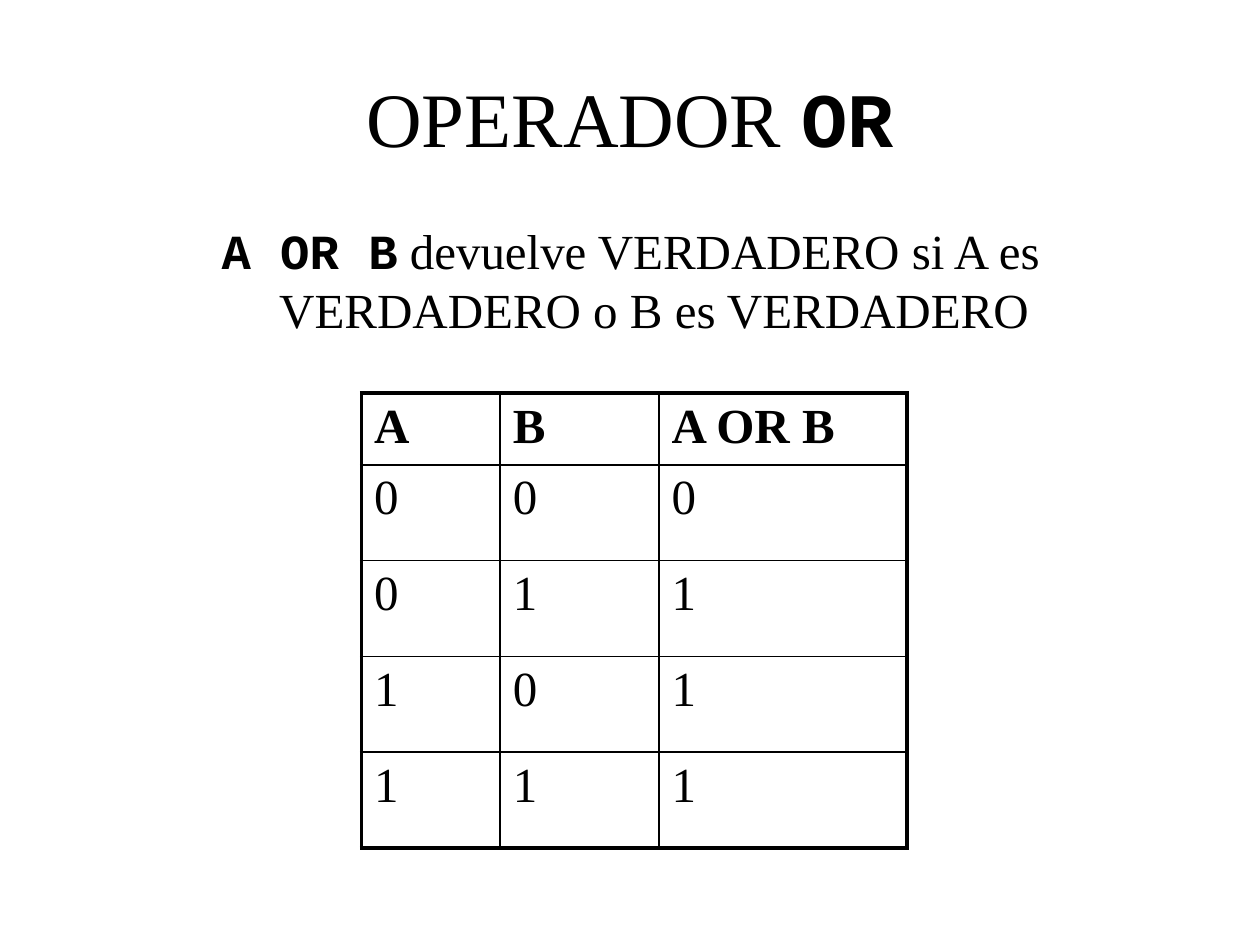
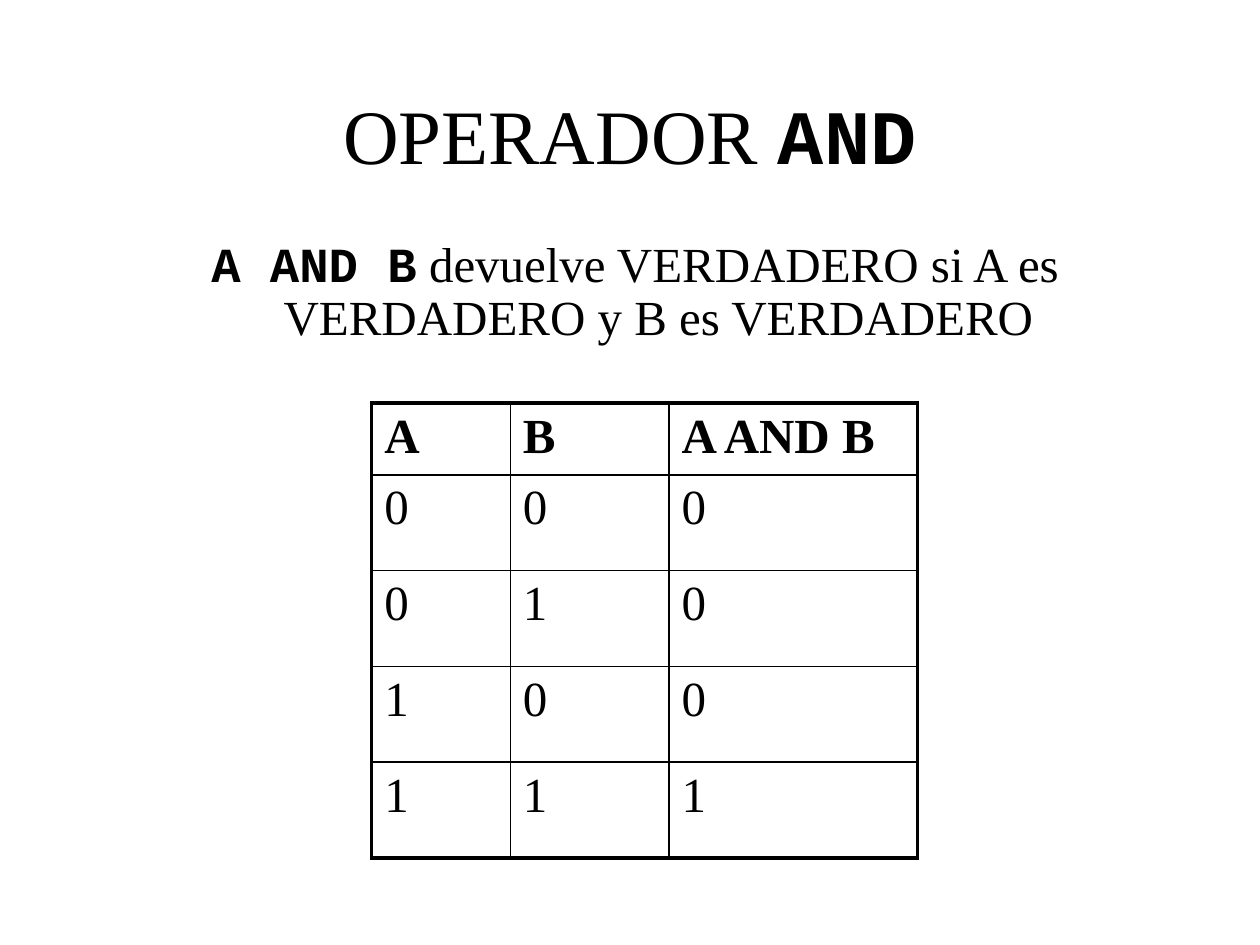
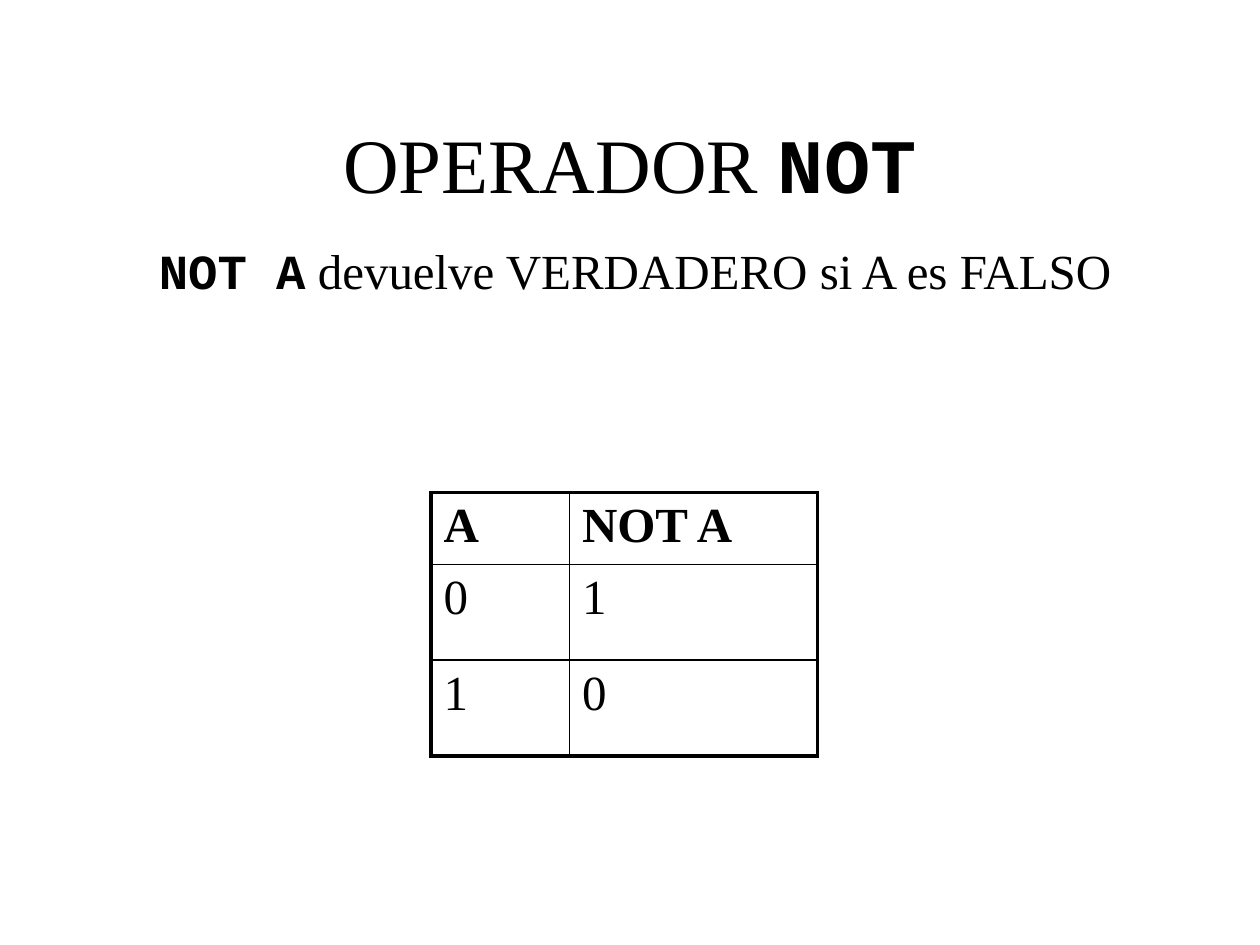
import pptx
import pptx.util
import pptx.dml.color
import pptx.enum.text
import lxml.etree
import pptx.oxml.ns

Inches, Pt = pptx.util.Inches, pptx.util.Pt
BLACK = pptx.dml.color.RGBColor(0, 0, 0)
WHITE = pptx.dml.color.RGBColor(255, 255, 255)
SERIF, MONO = "Times New Roman", "Courier New"
BIG, BASE = 44, 28
THICK, THIN = 2.21, 0.96
COLS = {"A": 1.1, "B": 1.26}
LAST = 1.97
HEAD, ROW = 0.57, 0.76

# One entry per operator: name, title top, rule box, line spacing, rule, table
SLIDES = [
    ("OR", 0.3, (0.43, 1.7, 9.14, 1.19), 1.0,
     ("A OR B", " devuelve VERDADERO si A es VERDADERO o B es VERDADERO"),
     (2.87, 3.12), ["A", "B", "A OR B"], ["000", "011", "101", "111"]),
    ("AND", 0.44, (0.43, 1.86, 9.21, 0.87), 0.9,
     ("A AND B", " devuelve VERDADERO si A es VERDADERO y B es VERDADERO"),
     (2.95, 3.2), ["A", "B", "A AND B"], ["000", "010", "100", "111"]),
    ("NOT", 0.67, (0.98, 1.86, 8.11, 1.26), 1.0,
     ("NOT A", " devuelve VERDADERO si A es FALSO"),
     (3.42, 3.91), ["A", "NOT A"], ["01", "10"]),
]


def write(para, parts, size):
    """Fill a paragraph with (text, font, bold) runs."""
    for text, face, bold in parts:
        run = para.add_run()
        run.text = text
        run.font.name, run.font.size, run.font.bold = face, Pt(size), bold
        run.font.color.rgb = BLACK


def edge(cell, sides):
    """Draw the left, right, top and bottom borders, thick where true."""
    props = cell._tc.get_or_add_tcPr()
    for i, (side, thick) in enumerate(zip("LRTB", sides)):
        line = lxml.etree.Element(pptx.oxml.ns.qn("a:ln" + side))
        line.set("w", str(Pt(THICK if thick else THIN)))
        fill = lxml.etree.SubElement(line, pptx.oxml.ns.qn("a:solidFill"))
        tint = lxml.etree.SubElement(fill, pptx.oxml.ns.qn("a:srgbClr"))
        tint.set("val", str(BLACK))
        props.insert(i, line)


deck = pptx.Presentation()
deck.slide_width, deck.slide_height = Inches(10), Inches(7.5)

for name, top, box, gap, rule, spot, heads, rows in SLIDES:
    slide = deck.slides.add_slide(deck.slide_layouts[5])
    slide.background.fill.solid()
    slide.background.fill.fore_color.rgb = WHITE

    # Title
    title = slide.shapes.title
    title.left, title.top = Inches(0.75), Inches(top)
    title.width, title.height = Inches(8.5), Inches(1.25)
    frame = title.text_frame
    frame.auto_size = pptx.enum.text.MSO_AUTO_SIZE.NONE
    frame.vertical_anchor = pptx.enum.text.MSO_ANCHOR.MIDDLE
    para = frame.paragraphs[0]
    para.alignment = pptx.enum.text.PP_ALIGN.CENTER
    write(para, [("OPERADOR ", SERIF, False), (name, MONO, True)], BIG)

    # Rule with a hanging indent
    frame = slide.shapes.add_textbox(*map(Inches, box)).text_frame
    frame.word_wrap = True
    para = frame.paragraphs[0]
    para.alignment = pptx.enum.text.PP_ALIGN.CENTER
    para.line_spacing = gap
    props = para._p.get_or_add_pPr()
    props.set("marL", str(Inches(0.38)))
    props.set("indent", str(Inches(-0.37)))
    write(para, [(rule[0], MONO, True), (rule[1], SERIF, False)], BASE)

    # Truth table
    wide = [COLS.get(head, LAST) for head in heads]
    tall = [HEAD] + [ROW] * len(rows)
    size = sum(wide), sum(tall)
    table = slide.shapes.add_table(
        len(tall), len(wide), *map(Inches, spot + size)).table
    table.first_row = table.horz_banding = False
    for col, width in zip(table.columns, wide):
        col.width = Inches(width)
    for r, line in enumerate([heads] + rows):
        table.rows[r].height = Inches(tall[r])
        for c, text in enumerate(line):
            cell = table.cell(r, c)
            cell.fill.background()
            write(cell.text_frame.paragraphs[0], [(text, SERIF, r == 0)], BASE)
            edge(cell, (c == 0, c == len(wide) - 1,
                        r == 0, r == len(tall) - 1))

deck.save("out.pptx")
